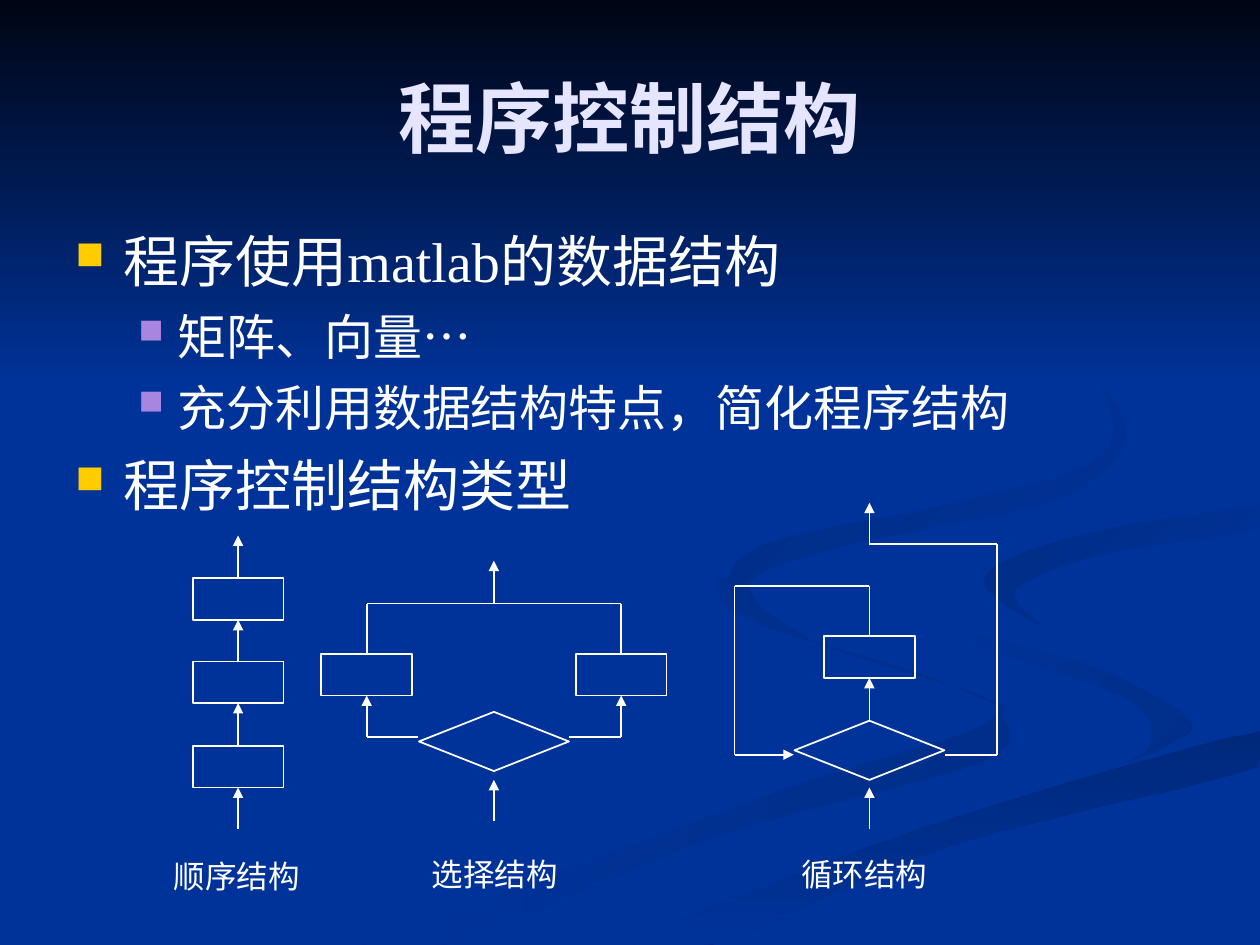
from itertools import pairwise

from lxml.etree import SubElement
from pptx import Presentation
from pptx.dml.color import RGBColor
from pptx.enum.shapes import MSO_CONNECTOR as Connector, MSO_SHAPE as Shape
from pptx.enum.text import MSO_ANCHOR as Anchor, PP_ALIGN as Align
from pptx.oxml.ns import qn
from pptx.util import Inches, Pt

FONT, WHITE, BLUE = "Times New Roman", "FFFFFF", "003399"
TITLE = "程序控制结构"
BULLETS = [
    (0, "程序使用matlab的数据结构"),
    (1, "矩阵、向量…"),
    (1, "充分利用数据结构特点，简化程序结构"),
    (0, "程序控制结构类型"),
]
# level: text size, left margin, hanging indent, space before, bullet colour
LEVELS = {0: (32, 0.38, 0.38, 8, "FFCC00"), 1: (28, 0.81, 0.31, 7, "A886E0")}

# Ribbons: start colour, end colour, clockwise angle, curve knots in 1/100 inch
RIBBONS = [
    ("002E8A", BLUE, 180, [
        (781, 553), (642, 507), (575, 459), (593, 491), (752, 543), (783, 574),
        (616, 629), (300, 749), (361, 749), (564, 665), (780, 605), (795, 567)]),
    ("002E8A", BLUE, 225, [
        (943, 570), (870, 530), (758, 498), (724, 464), (746, 500), (892, 553),
        (914, 589), (894, 605), (932, 589)]),
    ("00297C", BLUE, 90, [
        (503, 749), (571, 749), (752, 672), (998, 609), (998, 581), (764, 647), (569, 719)]),
    (BLUE, "002C85", 225, [
        (781, 460), (826, 496), (806, 468), (878, 439), (998, 420), (998, 402), (849, 427)]),
    (BLUE, "002B81", 225, [
        (683, 430), (841, 396), (894, 344), (843, 275), (762, 233), (862, 292),
        (876, 360), (763, 398), (605, 433), (580, 474), (622, 500), (596, 461)]),
]
CURVE_STEPS = 6

# Flowcharts: column centres, box and diamond sizes
SEQ, LEFT, CHOICE, RIGHT, BACK, LOOP, EXIT = 1.89, 2.91, 3.92, 4.93, 5.83, 6.9, 7.91
BOX, DIAMOND = (0.72, 0.33), (1.19, 0.47)
TOP, BOTTOM = 0, 2
BOXES = {  # centre, top
    "first": (SEQ, 5.92), "second": (SEQ, 5.25), "third": (SEQ, 4.59),
    "then": (LEFT, 5.19), "else": (RIGHT, 5.19), "body": (LOOP, 5.05),
}
DIAMONDS = [(CHOICE, 5.65), (LOOP, 5.72)]
# Each flow runs through points or box sides: (has an arrowhead, stops)
FLOWS = [
    (True, [(SEQ, 6.58), ("first", BOTTOM)]),
    (True, [("first", TOP), ("second", BOTTOM)]),
    (True, [("second", TOP), ("third", BOTTOM)]),
    (True, [("third", TOP), (SEQ, 4.25)]),
    (True, [(CHOICE, 6.52), (CHOICE, 6.19)]),
    (True, [(3.32, 5.85), (LEFT, 5.85), ("then", BOTTOM)]),
    (True, [(4.52, 5.85), (RIGHT, 5.85), ("else", BOTTOM)]),
    (False, [("then", TOP), (LEFT, 4.79), (RIGHT, 4.79), ("else", TOP)]),
    (True, [(CHOICE, 4.79), (CHOICE, 4.45)]),
    (True, [(LOOP, 6.58), (LOOP, 6.25)]),
    (True, [(LOOP, 5.72), ("body", BOTTOM)]),
    (True, [("body", TOP), (LOOP, 4.65), (BACK, 4.65), (BACK, 5.99), (6.3, 5.99)]),
    (True, [(7.5, 5.99), (EXIT, 5.99), (EXIT, 4.32), (LOOP, 4.32), (LOOP, 3.99)]),
]
CAPTIONS = [("顺序结构", 1.28, 6.75), ("选择结构", 3.33, 6.74), ("循环结构", 6.26, 6.74)]

prs = Presentation()
prs.slide_width, prs.slide_height = Inches(10), Inches(7.5)
slide = prs.slides.add_slide(prs.slide_layouts[6])
shapes = slide.shapes


def rgb(color):
    return RGBColor.from_string(color)


def add_text(frame_at, wrap=True):
    frame = shapes.add_textbox(*map(Inches, frame_at)).text_frame
    frame.word_wrap = wrap
    return frame


def add_run(paragraph, text, size, color=WHITE, bold=False):
    run = paragraph.add_run()
    run.text = text
    run.font.name, run.font.size, run.font.bold = FONT, Pt(size), bold
    run.font.color.rgb = rgb(color)


def set_bullet(paragraph, margin, hanging, color):
    props = paragraph._p.get_or_add_pPr()
    props.set("marL", str(Inches(margin)))
    props.set("indent", str(-Inches(hanging)))
    SubElement(SubElement(props, qn("a:buClr")), qn("a:srgbClr"), val=color)
    SubElement(props, qn("a:buSzPct"), val="70000")
    SubElement(props, qn("a:buChar"), char="■")


def smooth_outline(knots):
    """Closed Catmull-Rom curve through the knots, kept on the slide."""
    points = []
    for i in range(len(knots)):
        around = [knots[(i + k) % len(knots)] for k in (-1, 0, 1, 2)]
        for step in range(CURVE_STEPS):
            t = step / CURVE_STEPS
            x, y = (
                b + t / 2 * (c - a + t * (2 * a - 5 * b + 4 * c - d + t * (3 * (b - c) + d - a)))
                for a, b, c, d in zip(*around))
            points.append((min(round(x), 1000), min(round(y), 750)))
    return points


def paint_gradient(part, first, last, angle):
    part.shadow.inherit = False
    part.line.fill.background()
    part.fill.gradient()
    part.fill.gradient_angle = 360 - angle
    for stop, color in zip(part.fill.gradient_stops, (first, last)):
        stop.color.rgb = rgb(color)


def add_node(kind, center, top, size):
    width, height = size
    node = shapes.add_shape(kind, *map(Inches, (center - width / 2, top, width, height)))
    node.shadow.inherit = False
    node.fill.background()
    node.line.color.rgb, node.line.width = rgb(WHITE), Pt(1)
    return node


def stop_point(stop):
    if stop[0] not in BOXES:
        return stop
    center, top = BOXES[stop[0]]
    return center, top + (BOX[1] if stop[1] == BOTTOM else 0)


def add_flow_line(start, end, arrow):
    ends = (*stop_point(start), *stop_point(end))
    line = shapes.add_connector(Connector.STRAIGHT, *map(Inches, ends))
    line.line.color.rgb, line.line.width = rgb(WHITE), Pt(1)
    for stop, join in ((start, line.begin_connect), (end, line.end_connect)):
        if stop[0] in boxes:
            join(boxes[stop[0]], stop[1])
    if arrow:
        SubElement(line.line._get_or_add_ln(), qn("a:tailEnd"), type="triangle")
    SubElement(line._element.spPr, qn("a:effectLst"))


# Background: plain blue, ribbons, dark band at the top
slide.background.fill.solid()
slide.background.fill.fore_color.rgb = rgb(BLUE)
for first, last, angle, knots in RIBBONS:
    outline = smooth_outline(knots)
    builder = shapes.build_freeform(*outline[0], scale=Inches(0.01))
    builder.add_line_segments(outline[1:], close=True)
    paint_gradient(builder.convert_to_shape(), first, last, angle)
band = shapes.add_shape(Shape.RECTANGLE, 0, 0, prs.slide_width, Inches(3.08))
paint_gradient(band, "000514", BLUE, 90)

# Title and bullets
heading = add_text((0.5, 0.3, 9, 1.25))
heading.vertical_anchor = Anchor.MIDDLE
heading.paragraphs[0].alignment = Align.CENTER
add_run(heading.paragraphs[0], TITLE, 44, "E5E5FF", bold=True)

body = add_text((0.5, 1.75, 9, 2.55))
for i, (level, text) in enumerate(BULLETS):
    size, margin, hanging, before, color = LEVELS[level]
    item = body.add_paragraph() if i else body.paragraphs[0]
    item.level, item.space_before = level, Pt(before)
    set_bullet(item, margin, hanging, color)
    add_run(item, text, size)

# Flowcharts
boxes = {name: add_node(Shape.RECTANGLE, *place, BOX) for name, place in BOXES.items()}
for place in DIAMONDS:
    add_node(Shape.DIAMOND, *place, DIAMOND)
for has_arrow, stops in FLOWS:
    for start, end in pairwise(stops):
        add_flow_line(start, end, has_arrow and end is stops[-1])
for text, left, top in CAPTIONS:
    add_run(add_text((left, top, 1.2, 0.4), wrap=False).paragraphs[0], text, 18)

prs.save("out.pptx")
